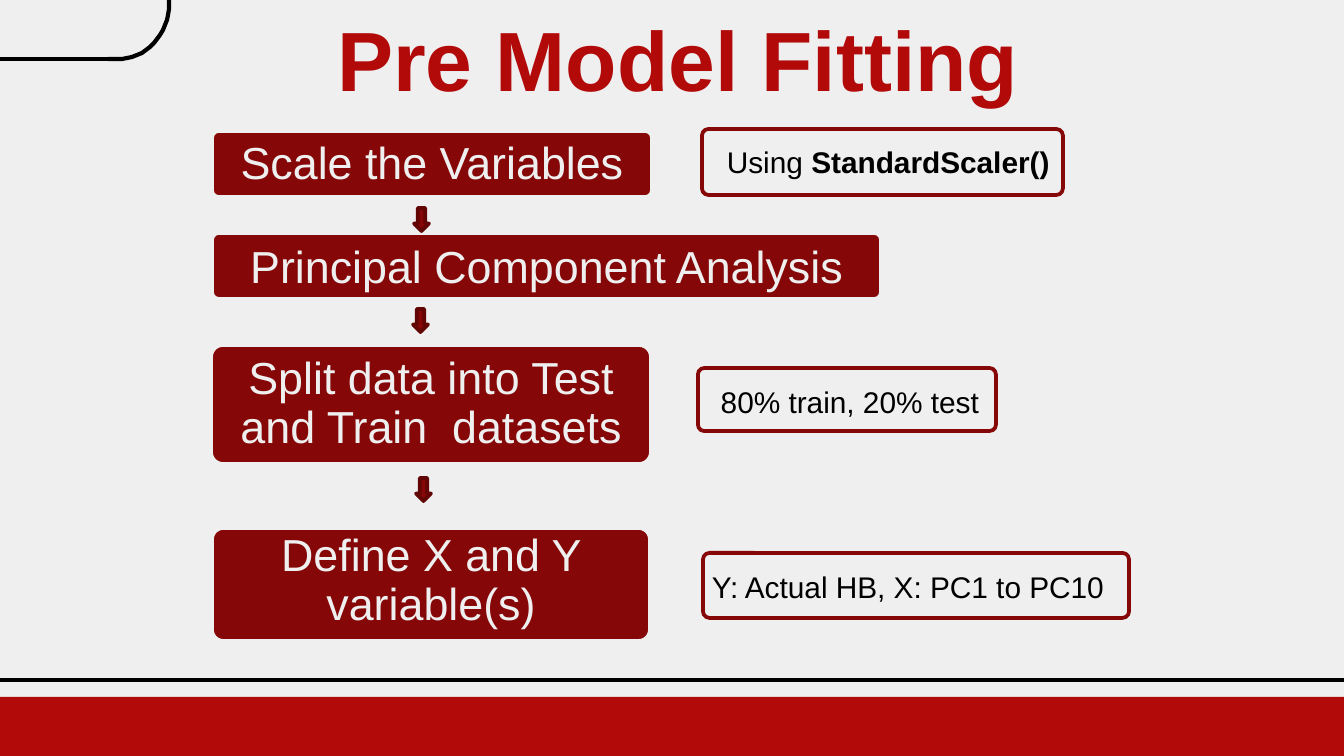
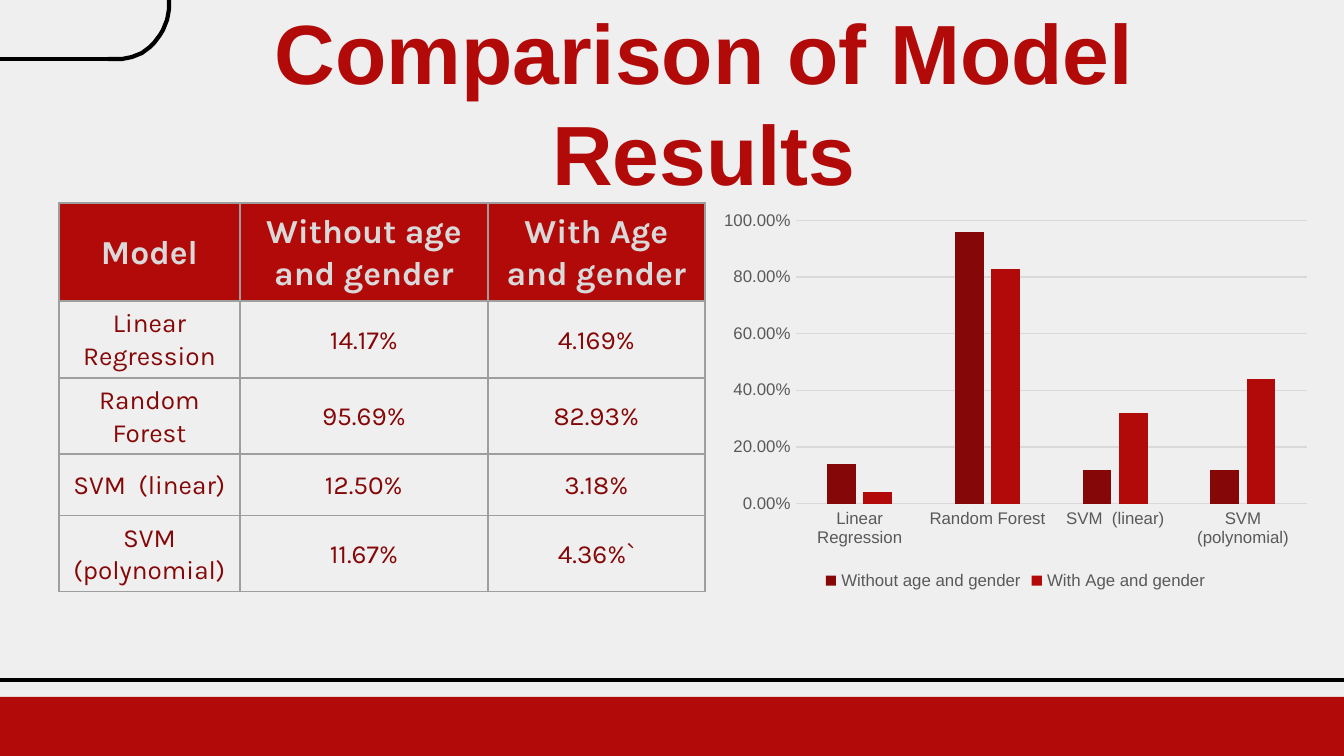
from math import cos, pi, sin

from lxml.etree import SubElement as Sub
from pptx import Presentation
from pptx.chart.data import CategoryChartData as Data
from pptx.dml.color import RGBColor
from pptx.enum.chart import XL_CHART_TYPE as Kind, XL_LEGEND_POSITION as Spot, XL_TICK_MARK as Tick
from pptx.enum.shapes import MSO_CONNECTOR as Wire, MSO_SHAPE as Form
from pptx.enum.text import MSO_ANCHOR as Anchor, MSO_AUTO_SIZE as Auto, PP_ALIGN as Align
from pptx.oxml import parse_xml
from pptx.oxml.ns import nsdecls, qn
from pptx.util import Pt

PX = 914400 / 134.4
RED, DARK, EDGE = "B20909", "850707", "620505"
PALE, BLACK, GRID, GREY, RULE = "EFEFEF", "000000", "D9D9D9", "595959", "9E9E9E"


def paint(part, tone):
    if hasattr(part, "solid"):
        part.solid()
        part = part.fore_color
    else:
        part = part.color
    part.rgb = RGBColor.from_string(tone)


def write(para, text, size, tone, bold=False, face="Arial"):
    run = para.add_run()
    run.text = text
    run.font.size = Pt(size)
    run.font.name = face
    run.font.bold = bold
    paint(run.font, tone)


prs = Presentation()
prs.slide_width, prs.slide_height = round(1344 * PX), round(756 * PX)
paint(prs.slide_master.background.fill, PALE)

slides = []
for name, left, top in [("Pre Model Fitting", 111, 15), ("Comparison of Model Results", 137, 59)]:
    slide = prs.slides.add_slide(prs.slide_layouts[5])
    slides.append(slide)

    turns = [pi / 2 * n / 16 for n in range(17)]
    curve = [(117 + 52 * sin(t), 4 + 55 * cos(t)) for t in turns] + [(169, 0)]
    pen = slide.shapes.build_freeform(108, 59, scale=PX)
    pen.add_line_segments(curve, close=False)
    tab = pen.convert_to_shape()
    tab.fill.background()
    tab.shadow.inherit = False
    paint(tab.line.fill, BLACK)
    tab.line.width = Pt(2.25)

    for end, y in [(110, 59), (1344, 680)]:
        rule = slide.shapes.add_connector(Wire.STRAIGHT, 0, round(y * PX), round(end * PX), round(y * PX))
        paint(rule.line.fill, BLACK)
        rule.line.width = Pt(2.25)
        Sub(rule._element.spPr, qn("a:effectLst"))

    band = slide.shapes.add_shape(Form.RECTANGLE, 0, round(697 * PX), prs.slide_width, round(59 * PX))
    band.shadow.inherit = False
    paint(band.fill, RED)
    band.line.fill.background()

    title = slide.shapes.title
    title.left, title.top, title.width, title.height = [round(n * PX) for n in (left, top, 1134, 85)]
    frame = title.text_frame
    frame.auto_size = Auto.NONE
    frame.word_wrap = True
    frame.vertical_anchor = Anchor.MIDDLE
    frame.margin_left = frame.margin_right = frame.margin_top = frame.margin_bottom = round(13 * PX)
    frame.paragraphs[0].alignment = Align.CENTER
    write(frame.paragraphs[0], name, 45, RED, True)

flow, match = slides

steps = [
    ((212, 131, 440, 66), 1, "Scale the Variables"),
    ((212, 233, 669, 66), 3, "Principal Component Analysis"),
    ((211, 345, 440, 119), 0, "Split data into Test and Train  datasets"),
    ((212, 528, 438, 113), -3, "Define X and Y variable(s)"),
]
notes = [
    ((702, 129, 361, 66), 23, 2, [("Using ", False), ("StandardScaler()", True)]),
    ((698, 368, 298, 63), 21, 4, [("80% train, 20% test", False)]),
    ((703, 553, 426, 65), 7, 3, [("Y: Actual HB, X: PC1 to PC10", False)]),
]
boxes = [(at, 20, drop, [(text, False)], 24, DARK, PALE, PALE, Align.CENTER) for at, drop, text in steps]
boxes += [(at, pad, drop, runs, 16, PALE, DARK, BLACK, Align.LEFT) for at, pad, drop, runs in notes]
for at, pad, drop, runs, size, fill, edge, ink, side in boxes:
    box = flow.shapes.add_shape(Form.ROUNDED_RECTANGLE, *[round(n * PX) for n in at])
    box.adjustments[0] = 0.1
    box.shadow.inherit = False
    paint(box.fill, fill)
    if fill == PALE:
        tint = box._element.spPr.find(qn("a:solidFill"))[0]
        Sub(tint, qn("a:alpha"), val="90000")
    paint(box.line.fill, edge)
    box.line.width = Pt(2)
    frame = box.text_frame
    frame.word_wrap = True
    frame.vertical_anchor = Anchor.MIDDLE
    frame.margin_left = round(pad * PX)
    frame.margin_right = round(pad * PX) if side == Align.CENTER else 0
    frame.margin_top = round(max(2 * drop, 0) * PX)
    frame.margin_bottom = round(max(-2 * drop, 0) * PX)
    para = frame.paragraphs[0]
    para.alignment = side
    para.line_spacing = 0.9
    for text, bold in runs:
        write(para, text, size, ink, bold)

for x, y in [(414, 208), (413, 309), (416, 478)]:
    arrow = flow.shapes.add_shape(Form.DOWN_ARROW, *[round(n * PX) for n in (x, y, 15, 23)])
    arrow.shadow.inherit = False
    paint(arrow.fill, DARK)
    paint(arrow.line.fill, EDGE)
    arrow.line.width = Pt(2)

heads = ["Model", "Without age and gender", "With Age and gender"]
rows = [
    heads,
    ["Linear Regression", "14.17%", "4.169%"],
    ["Random Forest", "95.69%", "82.93%"],
    ["SVM  (linear)", "12.50%", "3.18%"],
    ["SVM (polynomial)", "11.67%", "4.36%`"],
]
wide, tall = [181, 248, 217], [98, 77, 76, 62, 76]
spot = [round(n * PX) for n in (59, 203, sum(wide), sum(tall))]
table = match.shapes.add_table(len(rows), len(heads), *spot).table
table.horz_banding = False
for col, size in zip(table.columns, wide):
    col.width = round(size * PX)
for row, size in zip(table.rows, tall):
    row.height = round(size * PX)
for r, row in enumerate(rows):
    for c, text in enumerate(row):
        cell = table.cell(r, c)
        cell.vertical_anchor = Anchor.MIDDLE
        cell.margin_left = cell.margin_right = round(10 * PX)
        cell.margin_top = cell.margin_bottom = 0
        props = cell._tc.get_or_add_tcPr()
        for edge in ("lnL", "lnR", "lnT", "lnB"):
            props.append(parse_xml(
                f'<a:{edge} {nsdecls("a")} w="9525"><a:solidFill>'
                f'<a:srgbClr val="{RULE}"/></a:solidFill></a:{edge}>'))
        para = cell.text_frame.paragraphs[0]
        para.alignment = Align.CENTER
        para.line_spacing = 1.07
        if r == 0:
            paint(cell.fill, RED)
            write(para, text, 18, GRID, True, "Karla")
        else:
            cell.fill.background()
            write(para, text, 14, DARK, False, "Karla")

data = Data(number_format="0.00%")
data.categories = [row[0] for row in rows[1:]]
data.add_series(heads[1], [0.14, 0.96, 0.12, 0.12])
data.add_series(heads[2], [0.04, 0.83, 0.32, 0.44])
spot = [round(n * PX) for n in (712, 203, 607, 393)]
chart = match.shapes.add_chart(Kind.COLUMN_CLUSTERED, *spot, data).chart
chart.has_title = False
chart.font.size = Pt(10)
chart.font.name = "Arial"
paint(chart.font, BLACK)
chart.has_legend = True
chart.legend.position = Spot.BOTTOM
chart.legend.include_in_layout = False
plot = chart.plots[0]
plot.gap_width, plot.overlap = 219, -27
plot.vary_by_categories = False
for bars, tone in zip(plot.series, (DARK, RED)):
    paint(bars.format.fill, tone)

cats, vals = chart.category_axis, chart.value_axis
for axis in (cats, vals):
    axis.major_tick_mark = axis.minor_tick_mark = Tick.NONE
for font in (cats.tick_labels.font, vals.tick_labels.font, chart.legend.font):
    font.size = Pt(9)
    font.name = "Arial"
    paint(font, GREY)
vals.minimum_scale, vals.maximum_scale, vals.major_unit = 0, 1, 0.2
vals.tick_labels.number_format = "0.00%"
vals.tick_labels.number_format_is_linked = False
vals.format.line.fill.background()
vals.has_major_gridlines = True
for line in (cats.format.line, vals.major_gridlines.format.line):
    paint(line.fill, GRID)
    line.width = Pt(0.75)

prs.save("out.pptx")
